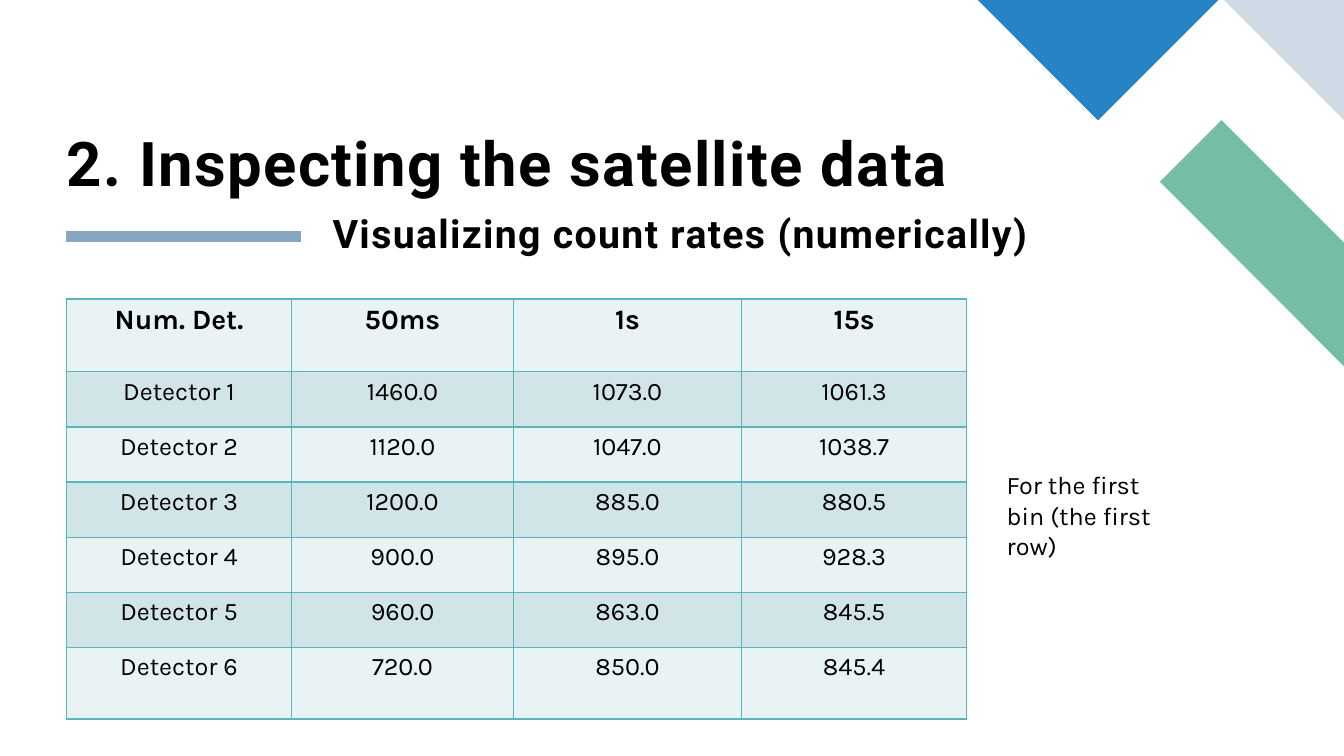
from lxml import etree
from pptx import Presentation
from pptx.dml.color import RGBColor
from pptx.enum.shapes import MSO_CONNECTOR
from pptx.enum.text import MSO_ANCHOR, MSO_AUTO_SIZE, PP_ALIGN
from pptx.oxml.ns import qn
from pptx.util import Pt

STRAIGHT = MSO_CONNECTOR.STRAIGHT
TOP, BOTTOM = MSO_ANCHOR.TOP, MSO_ANCHOR.BOTTOM
LEFT, CENTER = PP_ALIGN.LEFT, PP_ALIGN.CENTER
GROW = MSO_AUTO_SIZE.SHAPE_TO_FIT_TEXT

BLACK = RGBColor(0x00, 0x00, 0x00)
GREEN = RGBColor(0x75, 0xBD, 0xA7)
PALE_BLUE = RGBColor(0xCE, 0xDB, 0xE6)
BLUE = RGBColor(0x26, 0x83, 0xC6)
RULE_BLUE = RGBColor(0x86, 0xA6, 0xC1)
BORDER = RGBColor(0x58, 0xB6, 0xC0)
BANDS = [RGBColor(0xEA, 0xF3, 0xF4), RGBColor(0xD1, 0xE5, 0xE8)]

TITLE = "2. Inspecting the satellite data"
SUBTITLE = "Visualizing count rates (numerically)"
NOTE = "For the first bin (the first row)"
COUNT_RATES = [
    ("Num. Det.", "50ms", "1s", "15s"),
    ("Detector 1", "1460.0", "1073.0", "1061.3"),
    ("Detector 2", "1120.0", "1047.0", "1038.7"),
    ("Detector 3", "1200.0", "885.0", "880.5"),
    ("Detector 4", "900.0", "895.0", "928.3"),
    ("Detector 5", "960.0", "863.0", "845.5"),
    ("Detector 6", "720.0", "850.0", "845.4"),
]
COLUMN_WIDTHS = [160.8, 158.4, 163, 160.8]
ROW_HEIGHTS = [52.1] + [39.4] * 5 + [51.1]
CORNER_SHAPES = [
    (GREEN, [(960, 261.7), (960, 173.3), (872.5, 85.8), (828.5, 129.8)]),
    (PALE_BLUE, [(960, 85.7), (960, 0), (874.3, 0)]),
    (BLUE, [(698.4, 0), (784.4, 86), (870.4, 0)]),
]


def write_text(frame, text, size, font="Karla", bold=False, align=LEFT,
               line_spacing=None, tracking=None):
    para = frame.paragraphs[0]
    para.alignment = align
    para.line_spacing = line_spacing
    span = para.add_run()
    span.text = text
    span.font.name = font
    span.font.size = Pt(size)
    span.font.bold = bold
    span.font.color.rgb = BLACK
    if tracking:
        span.font._element.set("spc", str(tracking * 100))


def add_box(page, left, top, width, height, anchor=TOP):
    box = page.shapes.add_textbox(Pt(left), Pt(top), Pt(width), Pt(height))
    frame = box.text_frame
    frame.word_wrap = True
    frame.vertical_anchor = anchor
    return frame


def add_heading(page, text, left, top, size):
    frame = add_box(page, left, top, 856, 132.5, anchor=BOTTOM)
    frame.margin_left = frame.margin_right = 0
    frame.margin_top = frame.margin_bottom = 0
    write_text(frame, text, size, font="Roboto", bold=True,
               line_spacing=0.8, tracking=1)


def add_corner_shape(page, color, points):
    corners = [(Pt(x), Pt(y)) for x, y in points]
    builder = page.shapes.build_freeform(*corners[0])
    builder.add_line_segments(corners[1:], close=True)
    shape = builder.convert_to_shape()
    shape.shadow.inherit = False
    shape.fill.solid()
    shape.fill.fore_color.rgb = color
    shape.line.fill.background()


def add_rule(page):
    rule = page.shapes.add_connector(
        STRAIGHT, Pt(47), Pt(169.2), Pt(214.7), Pt(169.2))
    rule.line.color.rgb = RULE_BLUE
    rule.line.width = Pt(8)
    etree.SubElement(rule._element.spPr, qn("a:effectLst"))


def set_borders(cell):
    properties = cell._tc.get_or_add_tcPr()
    for position, side in enumerate(("a:lnL", "a:lnR", "a:lnT", "a:lnB")):
        line = etree.Element(qn(side), w=str(Pt(1)))
        fill = etree.SubElement(line, qn("a:solidFill"))
        etree.SubElement(fill, qn("a:srgbClr"), val=str(BORDER))
        properties.insert(position, line)


def add_count_table(page):
    table = page.shapes.add_table(
        len(COUNT_RATES), len(COLUMN_WIDTHS), Pt(47.5), Pt(213.5),
        Pt(sum(COLUMN_WIDTHS)), Pt(sum(ROW_HEIGHTS))).table
    for column, width in zip(table.columns, COLUMN_WIDTHS):
        column.width = Pt(width)
    for row, height in zip(table.rows, ROW_HEIGHTS):
        row.height = Pt(height)
    for row_index, values in enumerate(COUNT_RATES):
        header = row_index == 0
        for column_index, value in enumerate(values):
            cell = table.cell(row_index, column_index)
            cell.fill.solid()
            cell.fill.fore_color.rgb = BANDS[row_index % 2]
            set_borders(cell)
            write_text(cell.text_frame, value, 20 if header else 18,
                       bold=header, align=CENTER)


def main():
    deck = Presentation()
    deck.slide_width, deck.slide_height = Pt(960), Pt(540)
    page = deck.slides.add_slide(deck.slide_layouts[6])
    for color, points in CORNER_SHAPES:
        add_corner_shape(page, color, points)
    add_rule(page)
    add_heading(page, TITLE, 47.5, 9.4, 44)
    add_heading(page, SUBTITLE, 237.6, 50.4, 28)
    add_count_table(page)
    note = add_box(page, 712, 332, 139.7, 51)
    note.auto_size = GROW
    write_text(note, NOTE, 18)
    deck.save("out.pptx")


if __name__ == "__main__":
    main()
